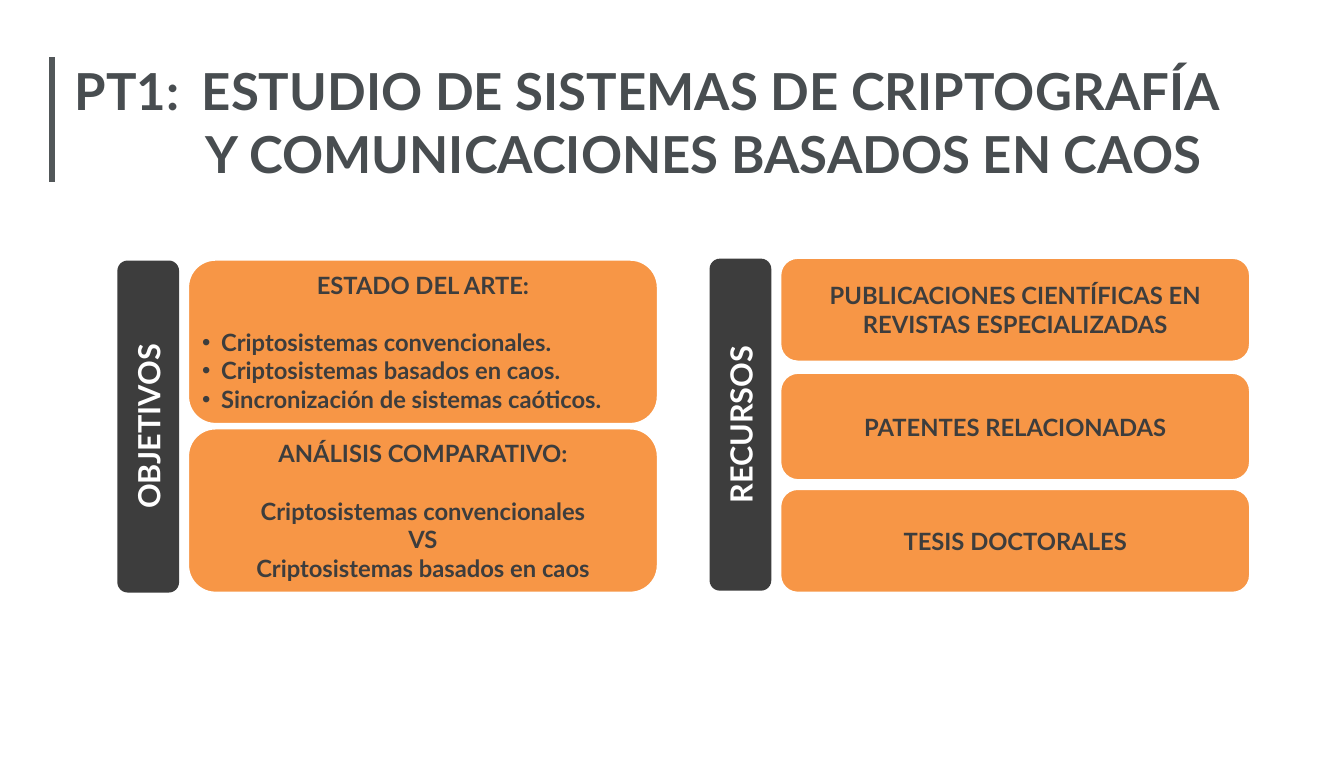
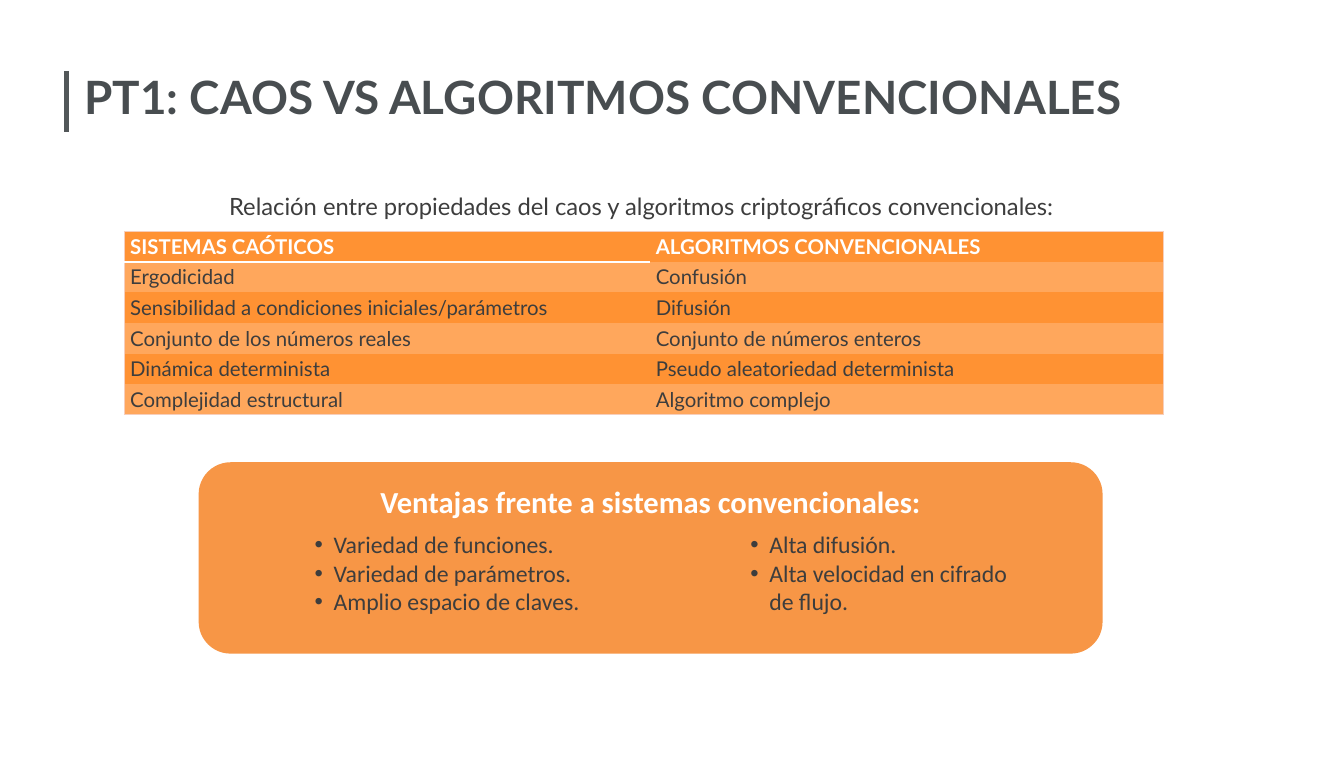
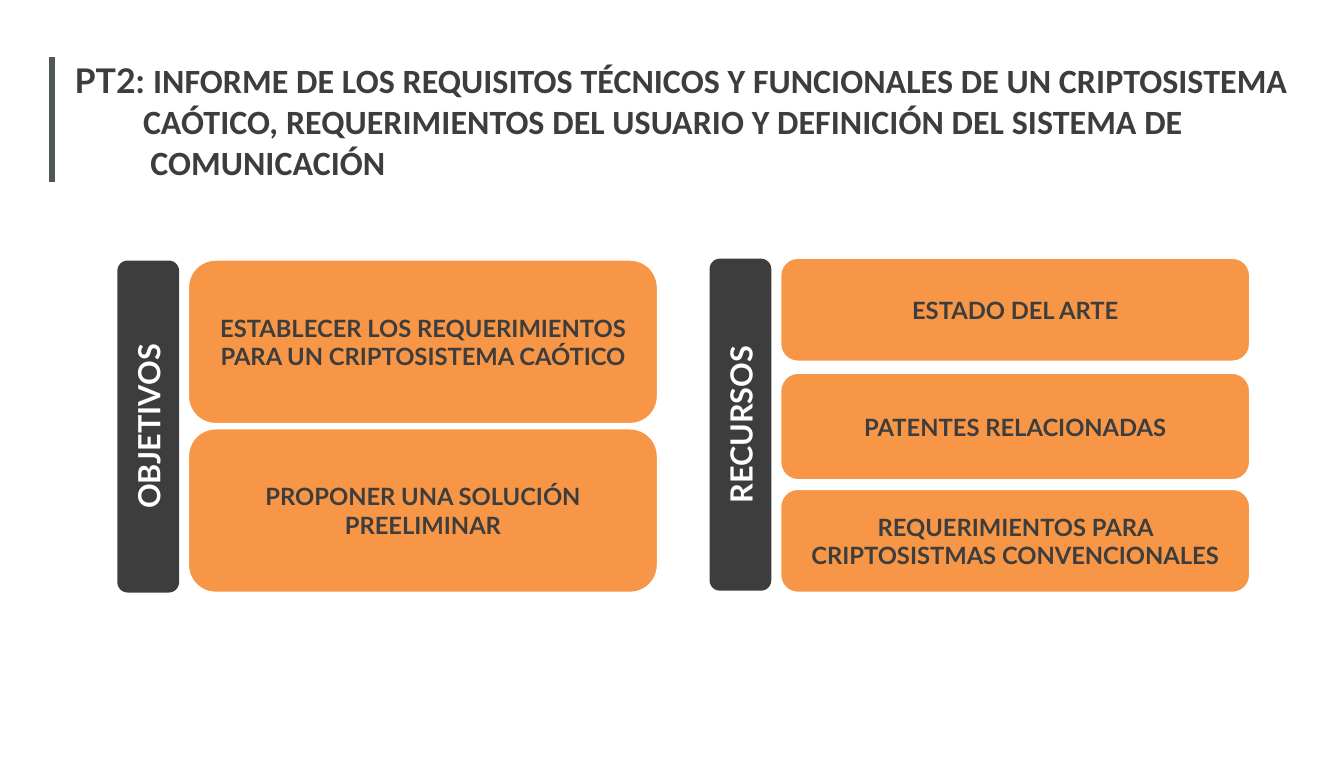
import dataclasses

import lxml.etree
import pptx
import pptx.dml.color
import pptx.enum.shapes
import pptx.enum.text
import pptx.oxml.ns
import pptx.util

RGB = pptx.dml.color.RGBColor
SHAPE = pptx.enum.shapes.MSO_SHAPE
ALIGN = pptx.enum.text.PP_ALIGN
ANCHOR = pptx.enum.text.MSO_ANCHOR
qn = pptx.oxml.ns.qn

WHITE = RGB(0xFF, 0xFF, 0xFF)
CHARCOAL = RGB(0x3D, 0x3D, 0x3D)
TITLE_GREY = RGB(0x48, 0x4D, 0x50)
RULE_GREY = RGB(0x52, 0x57, 0x59)
ORANGE = RGB(0xF7, 0x96, 0x46)
ROW_DARK = RGB(0xFF, 0x92, 0x33)
ROW_LIGHT = RGB(0xFF, 0xA7, 0x5C)
TABLE_EDGE = RGB(0xF7, 0xCE, 0xBB)

EMU_PER_PX = 9144
SLIDE_SIZE = (2199, 1238)
PLAIN_TABLE_STYLE = "{2D5ABB26-0587-4C30-8999-92F81FD0307C}"
BULLET_INDENT = 31
CARD_INSETS = (10, 5, 10, 5)


def px(length):
    return pptx.util.Emu(length * EMU_PER_PX)


@dataclasses.dataclass
class Style:
    size: int = 28
    color: RGB = CHARCOAL
    bold: bool = False
    font: str = "Lato"
    tracking: int = 0


@dataclasses.dataclass
class Line:
    runs: list
    align: ALIGN = ALIGN.LEFT
    before: float = 0
    margin: int = 0
    hanging: int = 0
    bullet: bool = False


CARD = Style(bold=True)
TAB = Style(36, WHITE, True)
TITLE = Style(60, TITLE_GREY, True, tracking=10)
COMPARISON_TITLE = dataclasses.replace(TITLE, size=54)
REPORT_NUMBER = dataclasses.replace(TITLE, size=40, color=CHARCOAL)
REPORT_TITLE = dataclasses.replace(REPORT_NUMBER, font="Calibri")
ADVANTAGE = Style(font="Calibri")
ADVANTAGES_HEADING = Style(36, WHITE, True, "Calibri")
TABLE_BODY = Style(24)
TABLE_HEAD = Style(24, WHITE, True)


def centered(text, style, before=0):
    return Line([(text, style)], ALIGN.CENTER, before)


def bulleted(text, style, before=0):
    return Line([(text, style)], before=before, margin=BULLET_INDENT,
                hanging=BULLET_INDENT, bullet=True)


def write_line(paragraph, line):
    properties = paragraph._p.get_or_add_pPr()
    properties.set("marL", str(px(line.margin)))
    properties.set("indent", str(px(-line.hanging)))
    if line.bullet:
        lxml.etree.SubElement(properties, qn("a:buFont")).set("typeface", "Arial")
        lxml.etree.SubElement(properties, qn("a:buChar")).set("char", "•")
    paragraph.alignment = line.align
    if line.before:
        paragraph.space_before = pptx.util.Pt(line.before)
    for text, style in line.runs:
        run = paragraph.add_run()
        run.text = text
        run.font.size = pptx.util.Pt(style.size)
        run.font.name = style.font
        run.font.bold = style.bold
        run.font.color.rgb = style.color
        if style.tracking:
            run._r.get_or_add_rPr().set("spc", str(style.tracking))


def write(frame, lines, insets=CARD_INSETS, anchor=ANCHOR.TOP):
    frame.word_wrap = True
    frame.vertical_anchor = anchor
    (frame.margin_left, frame.margin_top,
     frame.margin_right, frame.margin_bottom) = map(px, insets)
    for index, line in enumerate(lines):
        paragraph = frame.add_paragraph() if index else frame.paragraphs[0]
        write_line(paragraph, line)


def add_text(slide, box, lines, insets=CARD_INSETS):
    write(slide.shapes.add_textbox(*map(px, box)).text_frame, lines, insets)


def add_panel(slide, kind, box, fill, lines, outlined=False,
              insets=CARD_INSETS, anchor=ANCHOR.MIDDLE):
    panel = slide.shapes.add_shape(kind, *map(px, box))
    panel.shadow.inherit = False
    panel.fill.solid()
    panel.fill.fore_color.rgb = fill
    if outlined:
        panel.line.color.rgb = WHITE
        panel.line.width = pptx.util.Pt(2)
    else:
        panel.line.fill.background()
    write(panel.text_frame, lines, insets, anchor)
    return panel


def add_title(slide, left, top, lines, rule_x, rule_top, rule_bottom):
    add_text(slide, (left, top, 2060, 202), lines, (0, 0, 0, 0))
    rule = slide.shapes.add_connector(
        pptx.enum.shapes.MSO_CONNECTOR.STRAIGHT,
        px(rule_x), px(rule_top), px(rule_x), px(rule_bottom))
    rule.line.color.rgb = RULE_GREY
    rule.line.width = pptx.util.Pt(6)
    lxml.etree.SubElement(rule._element.spPr, qn("a:effectLst"))


def add_column(slide, left, top, label, cards):
    length, thickness = 543, 101
    shift = (length - thickness) // 2
    tab = add_panel(slide, SHAPE.ROUNDED_RECTANGLE,
                    (left - shift, top + shift, length, thickness),
                    CHARCOAL, [centered(label, TAB)])
    tab.rotation = 270
    for card_top, height, lines in cards:
        add_panel(slide, SHAPE.ROUNDED_RECTANGLE,
                  (left + 116, card_top, 768, height), ORANGE, lines, True)


def add_work_package(slide, title, goals, resources):
    add_title(slide, 122, 98, title, 85, 94, 297)
    add_column(slide, 192, 426, "OBJETIVOS",
               [(425 + 276 * i, 268, lines) for i, lines in enumerate(goals)])
    slots = ((422, 169), (610, 175), (800, 169))
    add_column(slide, 161 + 1000, 423, "RECURSOS",
               [(*slot, [centered(text, CARD)])
                for slot, text in zip(slots, resources)])


def add_border(cell, side, color, width):
    border = lxml.etree.SubElement(cell._tc.get_or_add_tcPr(), qn("a:ln" + side))
    border.set("w", str(pptx.util.Pt(width)))
    fill = lxml.etree.SubElement(border, qn("a:solidFill"))
    lxml.etree.SubElement(fill, qn("a:srgbClr")).set("val", str(color))


def add_comparison(slide, left, top, widths, row_height, rows):
    table = slide.shapes.add_table(
        len(rows), len(widths), px(left), px(top),
        px(sum(widths)), px(row_height * len(rows))).table
    table._tbl.tblPr.find(qn("a:tableStyleId")).text = PLAIN_TABLE_STYLE
    table.horz_banding = False
    for column, width in zip(table.columns, widths):
        column.width = px(width)
    last_row, last_column = len(rows) - 1, len(widths) - 1
    for r, texts in enumerate(rows):
        table.rows[r].height = px(row_height)
        for c, text in enumerate(texts):
            cell = table.cell(r, c)
            edges = (("L", c == 0), ("R", c == last_column),
                     ("T", r == 0), ("B", r == last_row))
            for side, outer in edges:
                if outer:
                    add_border(cell, side, TABLE_EDGE, 0.75)
            if r == c == 0:
                add_border(cell, "B", WHITE, 3)
            cell.fill.solid()
            cell.fill.fore_color.rgb = ROW_LIGHT if r % 2 else ROW_DARK
            style = TABLE_BODY if r else TABLE_HEAD
            write_line(cell.text_frame.paragraphs[0], Line([(text, style)]))


def build_study(slide):
    title = [
        Line([("PT1:\tESTUDIO DE SISTEMAS DE CRIPTOGRAFÍA", TITLE)],
             margin=208, hanging=208),
        Line([("Y COMUNICACIONES BASADOS EN CAOS", TITLE)],
             before=1.5, margin=215),
    ]
    state_of_art = [
        centered("ESTADO DEL ARTE:", CARD),
        bulleted("Criptosistemas convencionales.", CARD, 33.6),
        bulleted("Criptosistemas basados en caos.", CARD),
        bulleted("Sincronización de sistemas caóticos.", CARD),
    ]
    analysis = [
        centered("ANÁLISIS COMPARATIVO:", CARD),
        centered("Criptosistemas convencionales", CARD, 33.6),
        centered("VS", CARD),
        centered("Criptosistemas basados en caos", CARD),
    ]
    add_work_package(slide, title, [state_of_art, analysis], [
        "PUBLICACIONES CIENTÍFICAS EN REVISTAS ESPECIALIZADAS",
        "PATENTES RELACIONADAS",
        "TESIS DOCTORALES",
    ])


def build_comparison(slide):
    add_title(slide, 138, 113,
              [Line([("PT1: CAOS VS ALGORITMOS CONVENCIONALES", COMPARISON_TITLE)])],
              109, 116, 216)
    add_comparison(slide, 203, 378, (860, 840), 50, [
        ("SISTEMAS CAÓTICOS", "ALGORITMOS CONVENCIONALES"),
        ("Ergodicidad", "Confusión"),
        ("Sensibilidad a condiciones iniciales/parámetros", "Difusión"),
        ("Conjunto de los números reales", "Conjunto de números enteros"),
        ("Dinámica determinista", "Pseudo aleatoriedad determinista"),
        ("Complejidad estructural", "Algoritmo complejo"),
    ])
    add_text(slide, (197, 309, 1704, 57), [centered(
        "Relación entre propiedades del caos y algoritmos criptográficos convencionales:",
        Style())])
    add_panel(slide, SHAPE.FLOWCHART_ALTERNATE_PROCESS, (325, 756, 1479, 313), ORANGE,
              [centered("Ventajas frente a sistemas convencionales:", ADVANTAGES_HEADING)],
              insets=(10, 19, 10, 5), anchor=ANCHOR.TOP)
    advantages = (
        (505, ("Variedad de funciones.", "Variedad de parámetros.",
               "Amplio espacio de claves.")),
        (1218, ("Alta difusión.", "Alta velocidad en cifrado de flujo.")),
    )
    for left, texts in advantages:
        add_text(slide, (left, 862, 477, 151),
                 [bulleted(text, ADVANTAGE) for text in texts])


def build_report(slide):
    title = [
        Line([("PT2: ", REPORT_NUMBER),
              ("INFORME DE LOS REQUISITOS TÉCNICOS Y FUNCIONALES DE UN CRIPTOSISTEMA",
               REPORT_TITLE)]),
        Line([("CAÓTICO, REQUERIMIENTOS DEL USUARIO Y DEFINICIÓN DEL SISTEMA DE",
               REPORT_TITLE)], margin=112),
        Line([("COMUNICACIÓN", REPORT_TITLE)], margin=124),
    ]
    goals = ("ESTABLECER LOS REQUERIMIENTOS PARA UN CRIPTOSISTEMA CAÓTICO",
             "PROPONER UNA SOLUCIÓN PREELIMINAR")
    add_work_package(slide, title, [[centered(goal, CARD)] for goal in goals], [
        "ESTADO DEL ARTE",
        "PATENTES RELACIONADAS",
        "REQUERIMIENTOS PARA CRIPTOSISTMAS CONVENCIONALES",
    ])


def main():
    deck = pptx.Presentation()
    deck.slide_width, deck.slide_height = map(px, SLIDE_SIZE)
    for build in (build_study, build_comparison, build_report):
        build(deck.slides.add_slide(deck.slide_layouts[6]))
    deck.save("out.pptx")


if __name__ == "__main__":
    main()
